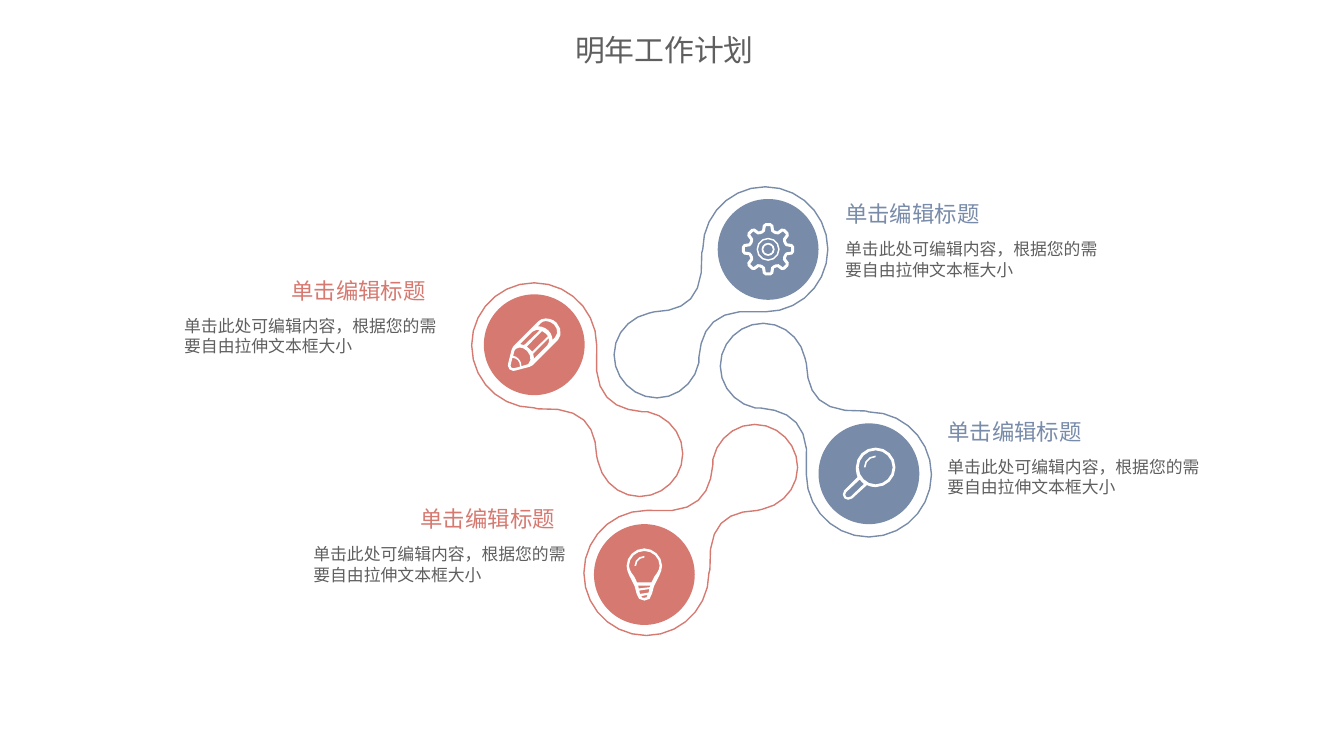
import math

import pptx
import pptx.dml.color
import pptx.enum.shapes
import pptx.enum.text
import pptx.oxml.ns
import pptx.util

Pt = pptx.util.Pt
FONT = "Noto Sans CJK SC"
HEX = {"blue": "788BA9", "red": "D67A71", "gray": "5F5F5F", "white": "FFFFFF"}
HEAD = "单击编辑标题"
BODY = "单击此处可编辑内容，根据您的需要自由拉伸文本框大小"
STYLES = {
    "title": {"size": Pt(16), "bold": False, "name": FONT},
    "head": {"size": Pt(12), "bold": False, "name": FONT},
    "body": {"size": Pt(9), "bold": False, "name": FONT},
}

# Contours start with a point; then pairs are lines and sixes are curves.
BUBBLE = [
    (0, -33.5), (18.5, -33.5, 33.5, -18.5, 33.5, 0), (33.5, 18.5, 18.5, 33.5, 0, 33.5),
    (-3, 33.5), (-27, 31.3, -34.2, 42, -35.6, 58), (-35.6, 60.8),
    (-37.8, 71.6, -47.2, 79.6, -58, 79.6), (-70.9, 79.6, -81, 69, -81, 56.5),
    (-81, 45.7, -73, 36.4, -62.3, 34.2), (-59.4, 33.5),
    (-42.8, 32.8, -32.8, 26.3, -34, 1.8), (-33.5, 0), (-33.5, -18.5, -18.5, -33.5, 0, -33.5),
]
PENCIL = [
    # Outline
    [(11.9, -11.9), (10.4, -13.3, 8.3, -14.1, 6.2, -14.1), (4.6, -14.1, 3.2, -13.5, 2.3, -12.6),
     (-11.2, 0.9), (-12.1, 2.6), (-14, 10.3), (-14.1, 11.3),
     (-14.1, 12.8, -12.8, 14, -11.3, 14), (-10.3, 13.9), (-2.6, 11.9), (-1, 11.1),
     (12.6, -2.4), (14.8, -4.6, 14.8, -9, 11.9, -11.9)],
    # Eraser
    [(11.2, -4), (9.8, -2.6), (9.7, -4.4, 9, -6.2, 7.6, -7.6), (6.1, -9.1, 4, -9.9, 2, -9.9),
     (3.3, -11.3), (4, -12.2, 5, -12.7, 6.2, -12.7), (7.8, -12.7, 9.4, -12, 10.6, -10.8),
     (12.5, -9, 13, -5.8, 11.2, -4)],
    # Wood and tip
    [(-6.8, 11.5), (-6.8, 10.1, -7.2, 8.6, -8.3, 7.6), (-9.2, 6.6, -10.2, 6, -11.3, 6),
     (-10.6, 3.2), (-9.8, 2.2), (-8.3, 0.9, -5.8, 1.4, -3.9, 3.2),
     (-1.6, 5.5, -1.4, 8.6, -3.2, 10.4)],
    [(-10.6, 12.5), (-11.3, 12.6), (-12, 12.6, -12.7, 12, -12.7, 11.2),
     (-11.7, 7), (-10.7, 7, -9.6, 7.5, -8.8, 8.3), (-8, 9.2, -7.6, 10.2, -7.6, 11.8)],
    # Barrel
    [(-5.4, 0.2), (-7.6, -0.3), (-0.9, -7), (0.4, -8, 1.9, -8.2, 3, -7.8)],
    [(-1.1, 3.7), (-2.4, 2.3), (-4, 1), (4.2, -7.3), (6.3, -5.9), (7.4, -4.6)],
    [(-0.2, 6.8), (-0.6, 4.8), (7.8, -3.6), (8.2, -2.2, 7.9, -0.7, 6.9, 0.5), (-0.3, 7.6)],
]
BULB = [
    [(0, -14), (-5, -14, -9.5, -9.7, -9.5, -4.7), (-9.5, -1, -6.8, 2.6, -5.2, 6.2),
     (-3.8, 11, -3.9, 14, 0, 14), (3.9, 14, 3.8, 11, 5.2, 6.2),
     (6.8, 2.6, 9.5, -1, 9.5, -4.7), (9.5, -9.7, 5, -14, 0, -14)],
    [(-3.9, 4.2), (-5.4, 1.1), (-6.8, -0.6, -8.2, -2.6, -8.2, -4.7),
     (-8.2, -9, -4.5, -12.6, 0, -12.6), (4.5, -12.6, 8.2, -9, 8.2, -4.7),
     (8.2, -2.6, 6.8, -0.6, 5.4, 1.1), (3.9, 4.2)],
    [(-3.3, 5.9), (3.3, 5.9), (3, 6.8), (-3, 7.5)],
    [(-2.7, 8.6), (2.7, 7.8), (2.3, 9.7), (-2.3, 10.4)],
    [(-1.7, 11.6), (1.8, 10.9), (1.2, 12.2), (0, 12.5), (-1.2, 12.3)],
]
LENS = [
    [(-6.1, 1.8), (-13.3, 9), (-14, 11.2), (-14, 12.7, -12.7, 14, -11.2, 14),
     (-9, 13.3), (-1.1, 6.1),
     (0.3, 6.8, 1.9, 7.2, 3.6, 7.2), (9.5, 7.2, 14.2, 2.5, 14.2, -3.4),
     (14.2, -9.3, 9.5, -14, 3.6, -14), (-2.3, -14, -7, -9.3, -7, -3.4),
     (-7, -1.4, -6.7, 0.4, -6.1, 1.8)],
    [(-9.7, 12.2), (-11.2, 12.7), (-12, 12.7, -12.7, 12, -12.7, 11.2),
     (-12.2, 9.9), (-4.9, 3.1), (-4.4, 3.9, -3.6, 4.8, -2.7, 5.5)],
]


def rgb(key):
    return pptx.dml.color.RGBColor.from_string(HEX[key])


def ring(x, y, r):
    k = r * 0.55
    return [(x + r, y), (x + r, y + k, x + k, y + r, x, y + r),
            (x - k, y + r, x - r, y + k, x - r, y), (x - r, y - k, x - k, y - r, x, y - r),
            (x + k, y - r, x + r, y - k, x + r, y)]


def glint(x, y, r):
    q = r - 0.9
    k, j = r * 0.55, q * 0.55
    return [[(x - r, y), (x - r, y - k, x - k, y - r, x, y - r), (x, y - q),
             (x - j, y - q, x - q, y - j, x - q, y)]]


def spin(seg, deg):
    c, s = math.cos(math.radians(deg)), math.sin(math.radians(deg))
    return tuple(v for x, y in zip(seg[::2], seg[1::2]) for v in (x * c - y * s, x * s + y * c))


def cog(half):
    tooth = [(-x, y) for x, y in half] + half[::-1]
    return [spin(dot, 45 * i) for i in range(8) for dot in tooth]


def trace(path):
    """Turn lines and cubic curves into points, more for longer curves."""
    dots = [path[0]]
    for seg in path[1:]:
        if len(seg) == 2:
            dots.append(seg)
            continue
        ends = [dots[-1], seg[:2], seg[2:4], seg[4:]]
        steps = math.ceil(0.9 * math.sqrt(math.dist(ends[0], ends[3])))
        for i in range(1, steps + 1):
            t = i / steps
            mix = ((1 - t) ** 3, 3 * t * (1 - t) ** 2, 3 * t * t * (1 - t), t ** 3)
            dots.append(tuple(sum(m * e[a] for m, e in zip(mix, ends)) for a in (0, 1)))
    return dots


def paint(shape, fill=None, line=None):
    shape.shadow.inherit = False
    for part, key in ((shape.fill, fill), (shape.line.fill, line)):
        if key:
            part.solid()
            part.fore_color.rgb = rgb(key)
        else:
            part.background()
    if line:
        shape.line.width = Pt(0.75)


def draw(slide, mid, paths, **ink):
    pen = None
    for path in paths:
        dots = [(Pt(mid[0] + x), Pt(mid[1] + y)) for x, y in trace(path)]
        if pen is None:
            pen = slide.shapes.build_freeform(*dots[0], scale=1.0)
        else:
            pen.move_to(*dots[0])
        pen.add_line_segments(dots[1:], close=True)
    paint(pen.convert_to_shape(), **ink)


def disc(slide, mid, key, r=27):
    oval = pptx.enum.shapes.MSO_SHAPE.OVAL
    box = (Pt(mid[0] - r), Pt(mid[1] - r), Pt(2 * r), Pt(2 * r))
    paint(slide.shapes.add_shape(oval, *box), fill=key)


def write(slide, text, box, style, key, wrap=True):
    frame = slide.shapes.add_textbox(*map(Pt, box)).text_frame
    look = STYLES[style]
    size = look["size"].pt
    frame.word_wrap = wrap
    frame.margin_top = Pt(3.6 + 0.07 * size)
    para = frame.paragraphs[0]
    para.alignment = pptx.enum.text.PP_ALIGN.LEFT
    para.line_spacing = Pt(1.2 * size)
    run = para.add_run()
    run.text = text
    for name, val in look.items():
        setattr(run.font, name, val)
    run.font.color.rgb = rgb(key)
    east = run.font._element.makeelement(pptx.oxml.ns.qn("a:ea"), {"typeface": FONT})
    run.font._element.append(east)


def main():
    deck = pptx.Presentation()
    deck.slide_width, deck.slide_height = Pt(720), Pt(405)
    slide = deck.slides.add_slide(deck.slide_layouts[6])
    write(slide, "明年工作计划", (301, 12.2, 116, 26.6), "title", "gray")

    # Icons
    outer = [(3.2, -10.2), (2.8, -12.9), (1.4, -14)]
    inner = [(2.9, -8.6), (1.7, -9.6), (1.2, -12.4)]
    gear = [[cog(outer), cog(inner)], [ring(0, 0, 6.2), ring(0, 0, 5.4)],
            [ring(0, 0, 3.5), ring(0, 0, 2.6)]]
    lens = [LENS + [ring(3.6, -3.4, 9.1)], glint(3.6, -3.4, 6.3)]
    bulb = [BULB, glint(0, -4.7, 5.3)]

    # Colour, bubble centre, turn, disc centre, icon, heading corner, body shift
    plans = [
        ("blue", (410, 133.6), 0, (411.5, 133.6), gear, (445.7, 103), 0),
        ("red", (286.2, 185), -90, (286.2, 184.7), [PENCIL], (149, 144), -57.4),
        ("red", (346.3, 307), 180, (345.2, 307.8), bulb, (218.2, 266.4), -57.4),
        ("blue", (465.5, 254.2), 90, (465.5, 253.8), lens, (500.4, 219.6), 0),
    ]
    for key, hub, turn, mid, icon, (x, y), shift in plans:
        draw(slide, hub, [[spin(seg, turn) for seg in BUBBLE]], line=key)
        disc(slide, mid, key)
        for paths in icon:
            draw(slide, mid, paths, fill="white")
        write(slide, BODY, (x + shift, y + 20.9, 152, 29), "body", "gray")
        write(slide, HEAD, (x, y, 87, 21.6), "head", key, wrap=False)

    deck.save("out.pptx")


if __name__ == "__main__":
    main()
